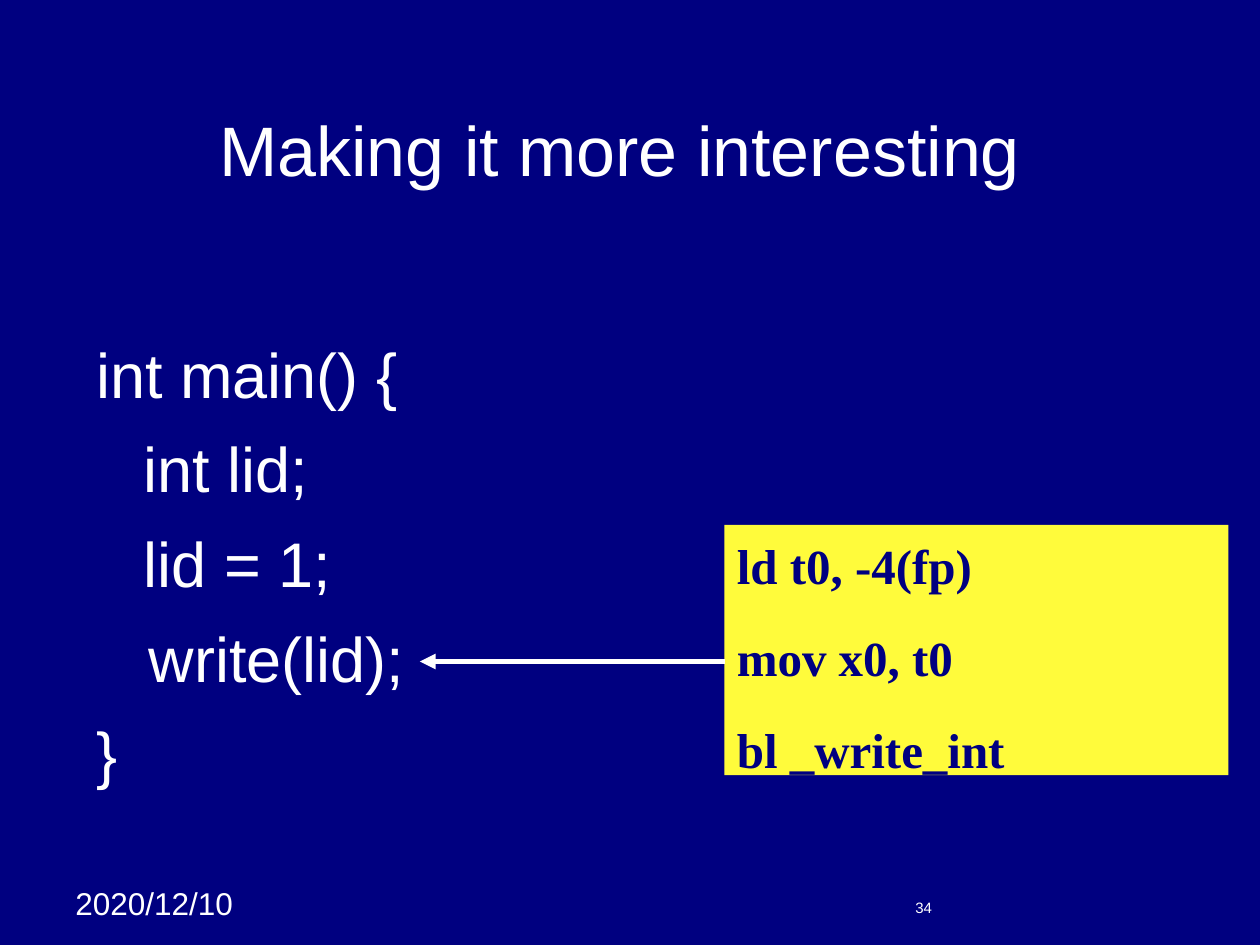
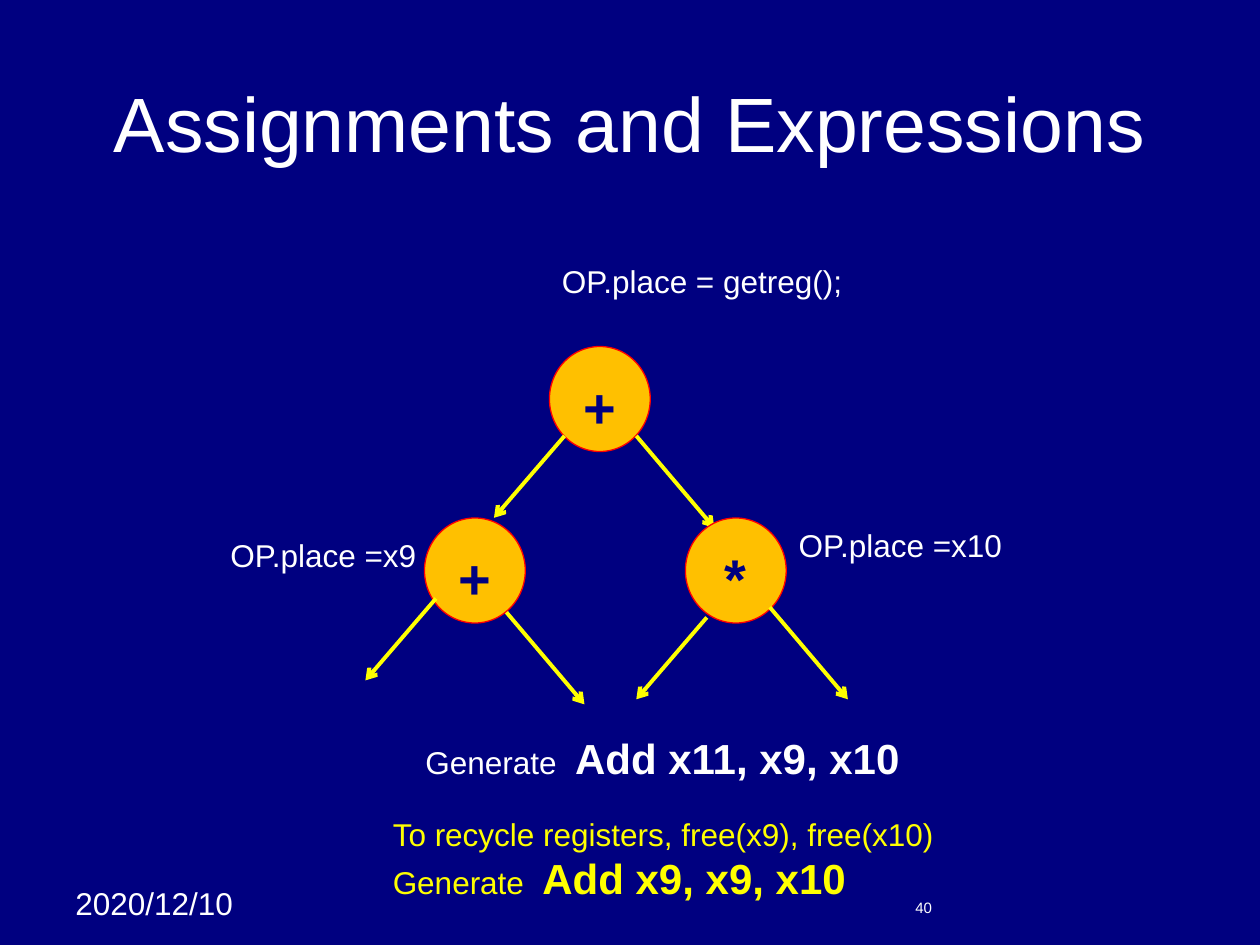
from dataclasses import dataclass

from lxml import etree
from pptx import Presentation
from pptx.dml.color import RGBColor
from pptx.enum.shapes import MSO_CONNECTOR, MSO_SHAPE
from pptx.enum.text import MSO_ANCHOR, MSO_AUTO_SIZE, PP_ALIGN
from pptx.oxml.ns import qn
from pptx.util import Pt

RECTANGLE, OVAL = MSO_SHAPE.RECTANGLE, MSO_SHAPE.OVAL
STRAIGHT = MSO_CONNECTOR.STRAIGHT
TOP, MIDDLE = MSO_ANCHOR.TOP, MSO_ANCHOR.MIDDLE
CENTER, LEFT = PP_ALIGN.CENTER, PP_ALIGN.LEFT
NO_FIT = MSO_AUTO_SIZE.NONE
TITLE_ONLY = 5


@dataclass(frozen=True)
class Theme:
    navy: str = "000080"
    white: str = "FFFFFF"
    yellow: str = "FFFF00"
    note: str = "FFFB3B"
    amber: str = "FFC000"
    red: str = "FF0000"
    sans: str = "Arial"
    serif: str = "Times New Roman"
    page: float = 8.6
    body: float = 18
    instruction: float = 24
    assembly: float = 28
    operator: float = 32
    code: float = 36


THEME = Theme()

# Content: boxes are left, top, width, height in points
DATE = "2020/12/10"
DATE_BOX = (36, 501.4, 114, 50)
PAGE_BOX = (516, 510, 168, 19)

INTERESTING = dict(title="Making it more interesting", size=40,
                   box=(30, 40, 648, 90), page="34")
SOURCE_CODE = ["int main() {", "\tint lid;", "\tlid = 1;", "   write(lid);", "}"]
SOURCE_BOX = (48, 188, 612, 304)
ASSEMBLY = ["ld t0, -4(fp)", "mov x0, t0", "bl _write_int"]
ASSEMBLY_BOX = (414, 300, 288, 143)
CALL_ARROW = (414, 378, 240, 378)

EXPRESSIONS = dict(title="Assignments and Expressions", size=44,
                   box=(36, 24.5, 648, 90), page="40")
# Operator, its corner, then the starts of its left and right branches
TREE_LEVELS = [
    [("+", (314, 198), (322.6, 249.1), (363.6, 249.1))],
    [("+", (242.6, 296), (249.1, 342), (289.4, 349.9)),
     ("*", (391.7, 296), (403.9, 352.8), (439.9, 347))],
]
NODE_SIZE = (57.6, 60)
LEFT_BRANCH, RIGHT_BRANCH = (-40.3, 46.8), (44.6, 52.6)
PLACES = [
    ("OP.place =x9", (124.6, 303, 123, 29)),
    ("OP.place =x10", (449.3, 297, 133, 29)),
    ("OP.place = getreg();", (314, 146.4, 177, 29)),
]
# Each line is plain text, or a word and the instruction beside it
GENERATED = [
    ([("Generate", "Add x11, x9, x10")], (236, 415, 286, 36), THEME.white),
    (["To recycle registers, free(x9), free(x10)",
      ("Generate", "Add x9, x9, x10")], (217.4, 462, 327, 58), THEME.yellow),
]
INSTRUCTION_TAB = 85.5


# Helpers
def rgb(value):
    return RGBColor.from_string(value)


def points(values):
    return [Pt(value) for value in values]


def style(font, size, color, name=THEME.sans, bold=False):
    font.size, font.name, font.bold = Pt(size), name, bold
    font.color.rgb = rgb(color)


def write(frame, lines, size, color, name=THEME.sans, bold=False,
          gap=0, align=LEFT, hanging=0):
    frame.word_wrap = True
    for index, line in enumerate(lines):
        paragraph = frame.paragraphs[0] if index == 0 else frame.add_paragraph()
        paragraph.alignment = align
        if index and gap:
            paragraph.space_before = Pt(gap)
        if hanging:
            properties = paragraph._p.get_or_add_pPr()
            properties.set("marL", str(Pt(hanging)))
            properties.set("indent", str(-Pt(hanging)))
        if isinstance(line, tuple):
            tabs = etree.SubElement(paragraph._p.get_or_add_pPr(), qn("a:tabLst"))
            etree.SubElement(tabs, qn("a:tab"), pos=str(Pt(INSTRUCTION_TAB)), algn="l")
            word, instruction = line
            paragraph.add_run().text = word + "\t"
            run = paragraph.add_run()
            run.text = instruction
            style(run.font, THEME.instruction, color, name, True)
        else:
            paragraph.add_run().text = line
        style(paragraph.font, size, color, name, bold)


def add_text(slide, box, lines, size=THEME.body, color=THEME.white, **options):
    frame = slide.shapes.add_textbox(*points(box)).text_frame
    write(frame, lines, size, color, **options)


def add_filled(slide, kind, box, fill, top_inset, outline=None):
    shape = slide.shapes.add_shape(kind, *points(box))
    shape.shadow.inherit = False
    shape.fill.solid()
    shape.fill.fore_color.rgb = rgb(fill)
    if outline:
        shape.line.color.rgb = rgb(outline)
        shape.line.width = Pt(0.75)
    else:
        shape.line.fill.background()
    frame = shape.text_frame
    frame.vertical_anchor = TOP
    frame.margin_top, frame.margin_bottom = Pt(top_inset), 0
    return frame


def add_arrow(slide, ends, color, width, head):
    arrow = slide.shapes.add_connector(STRAIGHT, *points(ends))
    arrow.line.color.rgb = rgb(color)
    arrow.line.width = Pt(width)
    etree.SubElement(arrow.line._get_or_add_ln(), qn("a:tailEnd"), type=head)
    etree.SubElement(arrow._element.spPr, qn("a:effectLst"))


def add_slide(prs, heading):
    slide = prs.slides.add_slide(prs.slide_layouts[TITLE_ONLY])
    title = slide.shapes.title
    title.left, title.top, title.width, title.height = points(heading["box"])
    title.text_frame.auto_size = NO_FIT
    title.text_frame.vertical_anchor = MIDDLE
    write(title.text_frame, [heading["title"]], heading["size"], THEME.white,
          align=CENTER)
    add_text(slide, DATE_BOX, [DATE])
    add_text(slide, PAGE_BOX, [heading["page"]], THEME.page)
    return slide


# Slides
def build_interesting(prs):
    slide = add_slide(prs, INTERESTING)
    add_text(slide, SOURCE_BOX, SOURCE_CODE, THEME.code, gap=11, hanging=27)
    note = add_filled(slide, RECTANGLE, ASSEMBLY_BOX, THEME.note, top_inset=6)
    write(note, ASSEMBLY, THEME.assembly, THEME.navy, THEME.serif, True, gap=19)
    add_arrow(slide, CALL_ARROW, THEME.white, 3, "triangle")


def build_expressions(prs):
    slide = add_slide(prs, EXPRESSIONS)
    for level in TREE_LEVELS:
        for operator, corner, *_ in level:
            node = add_filled(slide, OVAL, corner + NODE_SIZE, THEME.amber,
                              top_inset=6, outline=THEME.red)
            write(node, [operator], THEME.operator, THEME.navy, bold=True,
                  align=CENTER)
        for _, _, *starts in level:
            for (x, y), (dx, dy) in zip(starts, (LEFT_BRANCH, RIGHT_BRANCH)):
                add_arrow(slide, (x, y, x + dx, y + dy), THEME.yellow, 2.25, "arrow")
    for place, box in PLACES:
        add_text(slide, box, [place])
    for lines, box, color in GENERATED:
        add_text(slide, box, lines, color=color)


def main():
    prs = Presentation()
    prs.slide_width, prs.slide_height = Pt(720), Pt(540)
    background = prs.slide_master.background.fill
    background.solid()
    background.fore_color.rgb = rgb(THEME.navy)
    build_interesting(prs)
    build_expressions(prs)
    prs.save("out.pptx")


if __name__ == "__main__":
    main()
